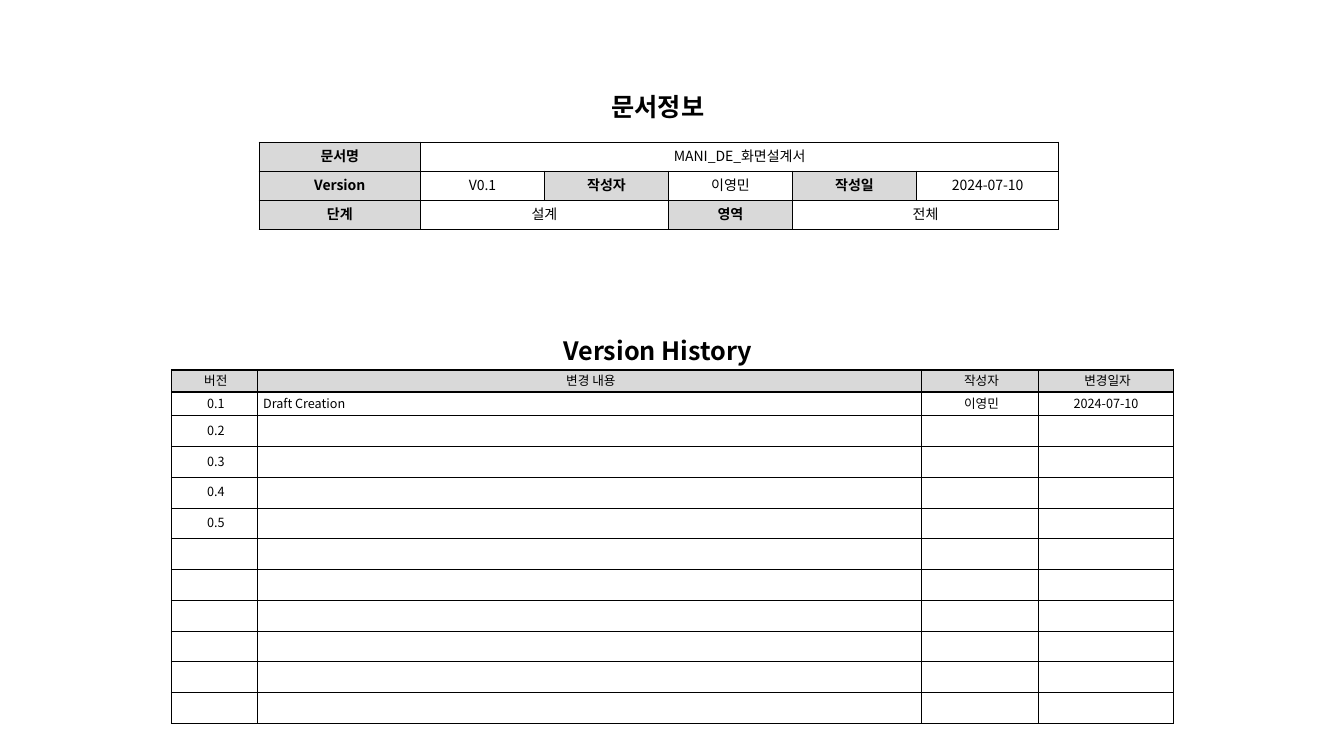
from dataclasses import dataclass

from lxml.etree import SubElement
from pptx import Presentation
from pptx.dml.color import RGBColor
from pptx.enum.text import MSO_AUTO_SIZE as AutoSize, MSO_VERTICAL_ANCHOR as Anchor, PP_ALIGN as Align
from pptx.oxml.ns import qn
from pptx.util import Inches, Pt


@dataclass(frozen=True)
class Theme:
    font: str = "Noto Sans CJK KR"
    ink: str = "000000"
    label_fill: str = "D9D9D9"
    title_size: float = 18
    info_size: float = 10
    history_size: float = 9
    line_spacing: float = 12
    thin: float = 0.25
    thick: float = 1


def apply(target, formats):
    for name, value in formats.items():
        setattr(target, name, value)


class SlideBuilder:
    def __init__(self, slide, theme):
        self.slide = slide
        self.theme = theme

    def add_text(self, paragraph, text, size, bold=False):
        run = paragraph.add_run()
        run.text = text
        run.font.color.rgb = RGBColor.from_string(self.theme.ink)
        apply(run.font, {"name": self.theme.font, "size": Pt(size), "bold": bold})
        SubElement(run._r.get_or_add_rPr(), qn("a:ea"), typeface=self.theme.font)

    def title(self, text, top):
        box = self.slide.shapes.add_textbox(Inches(5.26), Inches(top), Inches(2.53), Inches(0.4))
        apply(box.text_frame, {"word_wrap": True, "auto_size": AutoSize.SHAPE_TO_FIT_TEXT})
        paragraph = box.text_frame.paragraphs[0]
        paragraph.alignment = Align.CENTER
        self.add_text(paragraph, text, self.theme.title_size, bold=True)

    def table(self, left, top, widths, heights):
        frame = self.slide.shapes.add_table(
            len(heights), len(widths), Inches(left), Inches(top), Inches(sum(widths)), Inches(sum(heights)))
        table = frame.table
        apply(table, {"first_row": False, "horz_banding": False})
        for column, width in zip(table.columns, widths):
            column.width = Inches(width)
        for row, height in zip(table.rows, heights):
            row.height = Inches(height)
        return table

    def cell(self, cell, text, size, borders, margin, indent, label=False, bold=False, align=Align.CENTER):
        apply(cell, {
            "margin_left": Inches(margin), "margin_right": Inches(margin),
            "margin_top": 0, "margin_bottom": 0, "vertical_anchor": Anchor.MIDDLE,
        })
        properties = cell._tc.get_or_add_tcPr()
        for side, width in zip("LRTB", borders):
            line = SubElement(properties, qn(f"a:ln{side}"), w=str(Pt(width)))
            fill = SubElement(line, qn("a:solidFill"))
            SubElement(fill, qn("a:srgbClr"), val=self.theme.ink)
        if label:
            cell.fill.solid()
            cell.fill.fore_color.rgb = RGBColor.from_string(self.theme.label_fill)
        else:
            cell.fill.background()
        paragraph = cell.text_frame.paragraphs[0]
        apply(paragraph, {"alignment": align, "line_spacing": Pt(self.theme.line_spacing)})
        for name, value in zip(("marL", "indent"), indent):
            paragraph._p.get_or_add_pPr().set(name, str(Inches(value)))
        if text:
            self.add_text(paragraph, text, size, bold)

    def info_table(self, rows, merges):
        table = self.table(2.57, 1.41, [1.6] + [1.23] * 4 + [1.41], [0.29] * len(rows))
        for row, first, last in merges:
            table.cell(row, first).merge(table.cell(row, last))
        labels = {"문서명", "Version", "작성자", "작성일", "단계", "영역"}
        for row, texts in enumerate(rows):
            for column, text in enumerate(texts):
                label = text in labels
                self.cell(table.cell(row, column), text, self.theme.info_size, [self.theme.thick] * 4,
                          margin=0.07, indent=(0, -0.1), label=label, bold=label)

    def history_table(self, rows, heights):
        widths = [0.85, 6.59, 1.16, 1.34]
        table = self.table(1.7, 3.67, widths, heights)
        thin, thick = self.theme.thin, self.theme.thick
        last = len(widths) - 1
        for row, texts in enumerate(rows):
            for column, text in enumerate(texts):
                borders = (
                    thick if column == 0 else thin,
                    thick if column == last else thin,
                    thick if row < 2 else thin,
                    thick if row == 0 else thin,
                )
                self.cell(table.cell(row, column), text, self.theme.history_size, borders, margin=0.03,
                          indent=(0, -0.1) if row and column == last else (0.03, 0), label=row == 0,
                          align=Align.LEFT if row and column == 1 else Align.CENTER)


def main():
    presentation = Presentation()
    apply(presentation, {"slide_width": Inches(13.33), "slide_height": Inches(7.5)})
    builder = SlideBuilder(presentation.slides.add_slide(presentation.slide_layouts[6]), Theme())

    history = [
        ["버전", "변경 내용", "작성자", "변경일자"],
        ["0.1", "Draft Creation", "이영민", "2024-07-10"],
    ]
    history += [[f"0.{number}", "", "", ""] for number in range(2, 6)]
    history += [[""] * 4 for _ in range(6)]
    builder.history_table(history, [0.22, 0.23, 0.23, 0.22, 0.22, 0.24] + [0.22] * 6)

    info = [
        ["문서명", "MANI_DE_화면설계서", "", "", "", ""],
        ["Version", "V0.1", "작성자", "이영민", "작성일", "2024-07-10"],
        ["단계", "설계", "", "영역", "전체", ""],
    ]
    builder.info_table(info, [(0, 1, 5), (2, 1, 2), (2, 4, 5)])

    builder.title("문서정보", 0.86)
    builder.title("Version History", 3.28)
    presentation.save("out.pptx")


if __name__ == "__main__":
    main()
